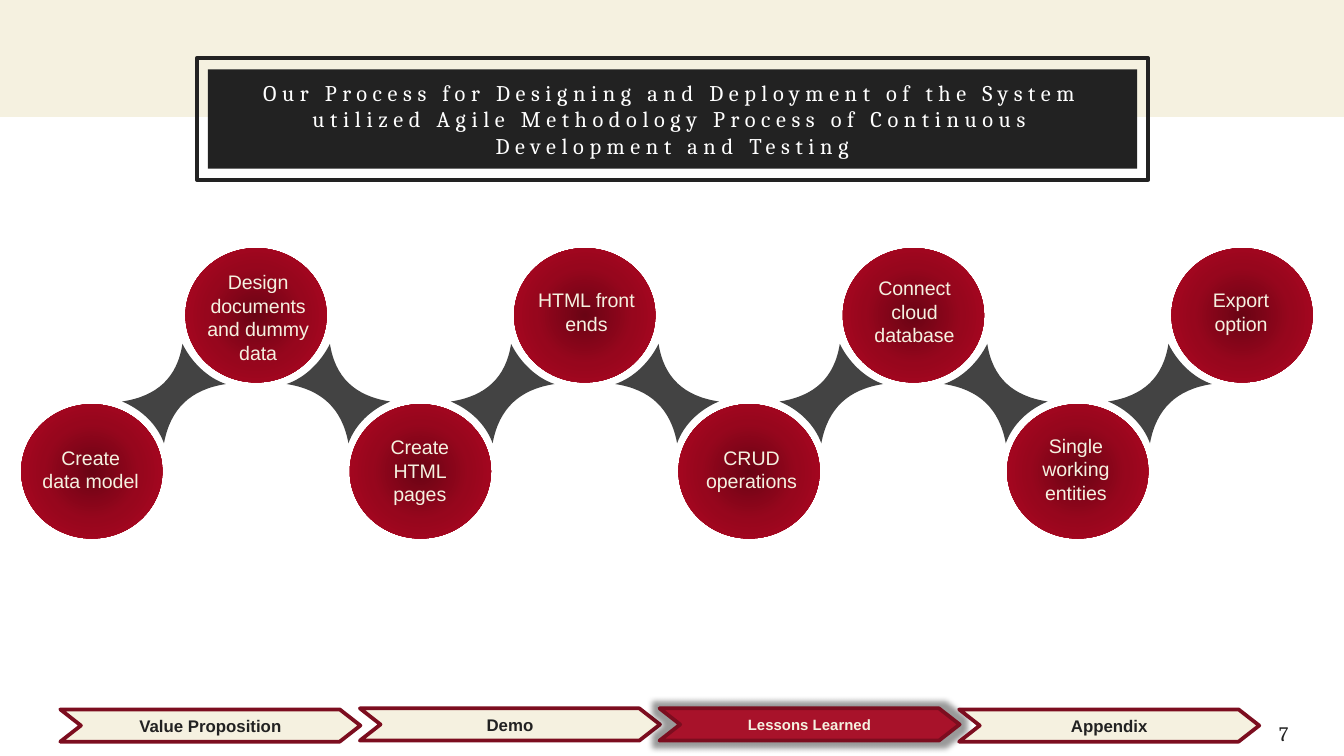
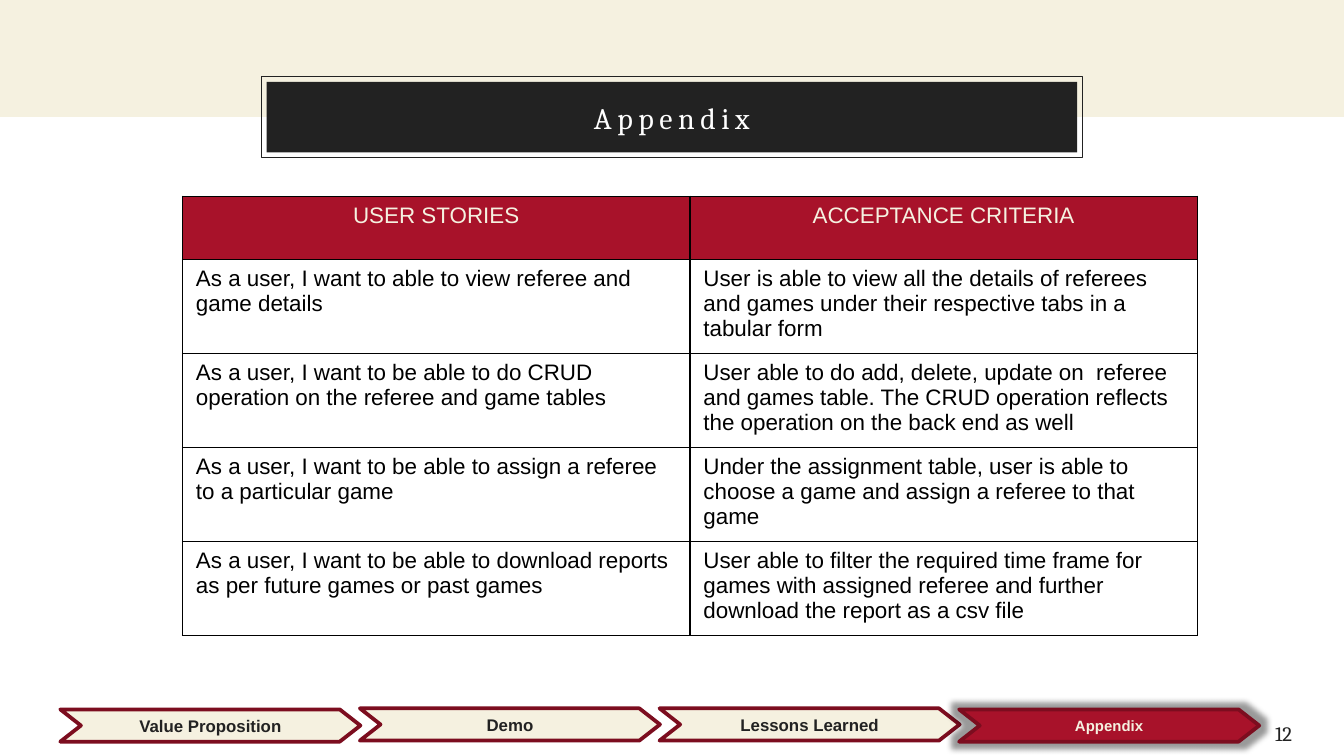
import dataclasses

import pptx
import pptx.dml.color
import pptx.enum.shapes
import pptx.enum.text
import pptx.oxml
import pptx.oxml.ns
import pptx.util

Cm = pptx.util.Cm
Pt = pptx.util.Pt
SHAPE = pptx.enum.shapes.MSO_SHAPE
ALIGN = pptx.enum.text.PP_ALIGN
ANCHOR = pptx.enum.text.MSO_ANCHOR
AUTO_SIZE = pptx.enum.text.MSO_AUTO_SIZE


@dataclasses.dataclass(frozen=True)
class Theme:
    """Colours, fonts and type sizes of the deck."""
    cream: str = "F5F1E0"
    ink: str = "222222"
    white: str = "FFFFFF"
    black: str = "000000"
    red: str = "A8122A"
    dark_red: str = "7C0D1F"
    link: str = "434343"
    bubble: tuple = ((0, "6A0414"), (50, "97061D"), (100, "B30722"))
    serif: str = "Cambria"
    sans: str = "Arial"
    step_size: float = 10.5
    page_size: float = 11
    table_size: float = 12
    tab_size: float = 9
    active_tab_size: float = 8


@dataclasses.dataclass(frozen=True)
class Box:
    """A rectangle in centimetres."""
    left: float
    top: float
    width: float
    height: float

    def lengths(self):
        """Return the four values as lengths."""
        return Cm(self.left), Cm(self.top), Cm(self.width), Cm(self.height)

    def inset(self, gap):
        """Return the box shrunk by a gap on every side."""
        return Box(self.left + gap, self.top + gap,
                   self.width - 2 * gap, self.height - 2 * gap)


THEME = Theme()
SLIDE = Box(0, 0, 25.4, 14.29)
BAND = Box(0, 0, 25.4, 2.21)
TABS = Box(1.14, 13.39, 22.65, 0.61)
PAGE_NUMBER = Box(23.5, 13.4, 1.52, 0.61)
PROCESS_FRAME = Box(3.72, 1.1, 17.98, 2.3)
APPENDIX_FRAME = Box(4.94, 1.45, 15.52, 1.53)
PROCESS = Box(0.4, 4.69, 24.41, 5.49)
STORIES = Box(3.45, 3.71, 19.18, 8.31)

SECTIONS = (("Value Proposition", 0.02), ("Demo", 0),
            ("Lessons Learned", 0), ("Appendix", 0.02))
STEPS = (
    ("Create data model", Box(0.11, 3.61, 2.41, 1.14)),
    ("Design documents and dummy data", Box(3.11, 0.29, 2.74, 2.06)),
    ("Create HTML pages", Box(6.33, 3.41, 2.41, 1.6)),
    ("HTML front ends", Box(9.48, 0.63, 2.41, 1.14)),
    ("CRUD operations", Box(12.6, 3.61, 2.41, 1.14)),
    ("Connect cloud database", Box(15.68, 0.41, 2.41, 1.6)),
    ("Single working entities", Box(18.73, 3.38, 2.41, 1.6)),
    ("Export option", Box(21.85, 0.63, 2.41, 1.14)),
)
LINK_WIDTH = 1.96
LINK_CURVES = (
    ((1.04, 0.64), (0.66, 0.99), (0, 1.09)),
    ((0.36, 1.24), (0.66, 1.52), (0.79, 1.88)),
    ((0.91, 1.22), (1.3, 0.86), (1.96, 0.76)),
    ((1.6, 0.64), (1.3, 0.33), (1.14, 0)),
)
USER_STORIES = (
    ("USER STORIES", "ACCEPTANCE CRITERIA"),
    ("As a user, I want to able to view referee and game details",
     "User is able to view all the details of referees and games under "
     "their respective tabs in a tabular form"),
    ("As a user, I want to be able to do CRUD operation on the referee "
     "and game tables",
     "User able to do add, delete, update on  referee and games table. "
     "The CRUD operation reflects the operation on the back end as well"),
    ("As a user, I want to be able to assign a referee to a particular game",
     "Under the assignment table, user is able to choose a game and assign "
     "a referee to that game"),
    ("As a user, I want to be able to download reports as per future games "
     "or past games",
     "User able to filter the required time frame for games with assigned "
     "referee and further download the report as a csv file"),
)


def rgb(value):
    """Turn a hex string into a colour."""
    return pptx.dml.color.RGBColor.from_string(value)


def xml(markup):
    """Parse a DrawingML element after declaring its namespace."""
    return pptx.oxml.parse_xml(
        markup.replace(">", f" {pptx.oxml.ns.nsdecls('a')}>", 1))


def paint(part, fill=None, line=None, line_width=1):
    """Set fill and outline of a shape and drop its shadow."""
    part.shadow.inherit = False
    if fill:
        part.fill.solid()
        part.fill.fore_color.rgb = rgb(fill)
    else:
        part.fill.background()
    if line:
        part.line.color.rgb = rgb(line)
        part.line.width = Pt(line_width)
    else:
        part.line.fill.background()


def add_figure(slide, kind, box, **look):
    """Add a painted preset shape."""
    figure = slide.shapes.add_shape(kind, *box.lengths())
    paint(figure, **look)
    return figure


def write(frame, words, size, color, font=THEME.sans, bold=False,
          align=ALIGN.CENTER, spacing=None):
    """Write one run into the first paragraph of a text frame."""
    frame.word_wrap = True
    paragraph = frame.paragraphs[0]
    paragraph.alignment = align
    run = paragraph.add_run()
    run.text = words
    run.font.size = Pt(size)
    run.font.name = font
    run.font.bold = bold
    run.font.color.rgb = rgb(color)
    if spacing:
        run.font._element.set("spc", str(spacing * 100))


def pad(frame, margin):
    """Give a text frame the same margin on all sides."""
    frame.margin_left = frame.margin_right = Cm(margin)
    frame.margin_top = frame.margin_bottom = Cm(margin)


def add_frame(slide, box, line_width):
    """Add the outline around the title."""
    add_figure(slide, SHAPE.RECTANGLE, box, line=THEME.ink,
               line_width=line_width)


def add_title(slide, box, words, size):
    """Add the dark title panel."""
    panel = add_figure(slide, SHAPE.RECTANGLE, box, fill=THEME.ink)
    pad(panel.text_frame, 0.25)
    panel.text_frame.vertical_anchor = ANCHOR.MIDDLE
    write(panel.text_frame, words, size, THEME.white, THEME.serif, spacing=3)


def add_tabs(slide, box, active):
    """Add the row of section chevrons with the active one lit."""
    pitch = box.width / len(SECTIONS)
    for index, (section, drop) in enumerate(SECTIONS):
        lit = section == active
        place = Box(box.left + index * pitch, box.top + drop,
                    pitch + 0.01, box.height)
        tab = add_figure(slide, SHAPE.CHEVRON, place,
                         fill=THEME.red if lit else THEME.cream,
                         line=THEME.dark_red, line_width=2)
        tab.adjustments[0] = 0.64
        tab.text_frame.vertical_anchor = ANCHOR.MIDDLE
        write(tab.text_frame, section,
              THEME.active_tab_size if lit else THEME.tab_size,
              THEME.cream if lit else THEME.ink, bold=True)
        if lit:
            effects = tab._element.spPr.find(pptx.oxml.ns.qn("a:effectLst"))
            effects.append(xml(
                f'<a:glow rad="76200"><a:srgbClr val="{THEME.black}">'
                '<a:alpha val="40000"/></a:srgbClr></a:glow>'))


def add_page_number(slide, box, number):
    """Add the slide number."""
    page = slide.shapes.add_textbox(*box.lengths()).text_frame
    pad(page, 0.25)
    write(page, str(number), THEME.page_size, THEME.ink, THEME.serif)


def start_slide(deck):
    """Add a slide with the band on top."""
    slide = deck.slides.add_slide(deck.slide_layouts[6])
    add_figure(slide, SHAPE.RECTANGLE, BAND, fill=THEME.cream)
    return slide


def add_footer(slide, section, number):
    """Add the page number and the section tabs."""
    add_page_number(slide, PAGE_NUMBER, number)
    add_tabs(slide, TABS, section)


def add_bubble(slide, box):
    """Add a step circle with a radial gradient."""
    bubble = add_figure(slide, SHAPE.OVAL, box)
    stops = "".join(
        f'<a:gs pos="{position * 1000}"><a:srgbClr val="{color}"/></a:gs>'
        for position, color in THEME.bubble)
    properties = bubble._element.spPr
    properties.replace(properties.find(pptx.oxml.ns.qn("a:noFill")), xml(
        f'<a:gradFill rotWithShape="1"><a:gsLst>{stops}</a:gsLst>'
        '<a:path path="circle"><a:fillToRect l="50000" t="50000" '
        'r="50000" b="50000"/></a:path></a:gradFill>'))


def add_link(slide, left, top, rising):
    """Add the curved link between two neighbouring circles."""
    curves = [[(Cm(x if rising else LINK_WIDTH - x), Cm(y)) for x, y in curve]
              for curve in LINK_CURVES]
    corners = [curve[-1] for curve in curves]
    builder = slide.shapes.build_freeform(*corners[-1])
    builder.add_line_segments(corners, close=True)
    link = builder.convert_to_shape(Cm(left), Cm(top))
    paint(link, fill=THEME.link)
    sides = list(link._element.iter(pptx.oxml.ns.qn("a:lnTo")))
    for side, curve in zip(sides, curves):
        points = "".join(f'<a:pt x="{x}" y="{y}"/>' for x, y in curve)
        side.getparent().replace(
            side, xml(f"<a:cubicBezTo>{points}</a:cubicBezTo>"))


def add_process(slide, box):
    """Add the zigzag of steps, their links and labels."""
    width, height = 2.67, 2.54
    pitch = (box.width - width) / (len(STEPS) - 1)
    lefts = [box.left + index * pitch for index in range(len(STEPS))]
    for index, left in enumerate(lefts):
        top = box.top if index % 2 else box.top + box.height - height
        add_bubble(slide, Box(left, top, width, height))
    for index, left in enumerate(lefts[:-1]):
        add_link(slide, left + 1.91, box.top + 1.81, index % 2 == 0)
    for words, place in STEPS:
        spot = dataclasses.replace(place, left=box.left + place.left,
                                   top=box.top + place.top)
        label = slide.shapes.add_textbox(*spot.lengths()).text_frame
        label.auto_size = AUTO_SIZE.SHAPE_TO_FIT_TEXT
        write(label, words, THEME.step_size, THEME.cream)


def border_cell(cell):
    """Draw a thin black line on each side of a cell."""
    for side in "LRTB":
        cell._tc.get_or_add_tcPr().append(xml(
            f'<a:ln{side} w="9525"><a:solidFill><a:srgbClr '
            f'val="{THEME.black}"/></a:solidFill></a:ln{side}>'))


def add_stories(slide, box):
    """Add the table of user stories and acceptance criteria."""
    stories = slide.shapes.add_table(
        len(USER_STORIES), len(USER_STORIES[0]), *box.lengths())
    table = stories.table
    table.first_row = table.horz_banding = False
    for index, texts in enumerate(USER_STORIES):
        header = index == 0
        table.rows[index].height = Cm(1.19)
        for column, words in enumerate(texts):
            cell = table.cell(index, column)
            border_cell(cell)
            if header:
                cell.fill.solid()
                cell.fill.fore_color.rgb = rgb(THEME.red)
            else:
                cell.fill.background()
            write(cell.text_frame, words, THEME.table_size,
                  THEME.cream if header else THEME.black,
                  align=ALIGN.CENTER if header else ALIGN.LEFT)
    stories.height = Cm(box.height)


def main():
    """Build and save the deck."""
    deck = pptx.Presentation()
    deck.slide_width, deck.slide_height = SLIDE.lengths()[2:]

    process = start_slide(deck)
    add_title(process, PROCESS_FRAME.inset(0.21),
              "Our Process for Designing and Deployment of the System utilized "
              "Agile Methodology Process of Continuous Development and Testing",
              size=12)
    add_process(process, PROCESS)
    add_footer(process, "Lessons Learned", 7)
    add_frame(process, PROCESS_FRAME, line_width=2)

    appendix = start_slide(deck)
    add_frame(appendix, APPENDIX_FRAME, line_width=0.75)
    add_title(appendix, APPENDIX_FRAME.inset(0.1), "Appendix", size=16)
    add_stories(appendix, STORIES)
    add_footer(appendix, "Appendix", 12)

    deck.save("out.pptx")


if __name__ == "__main__":
    main()
